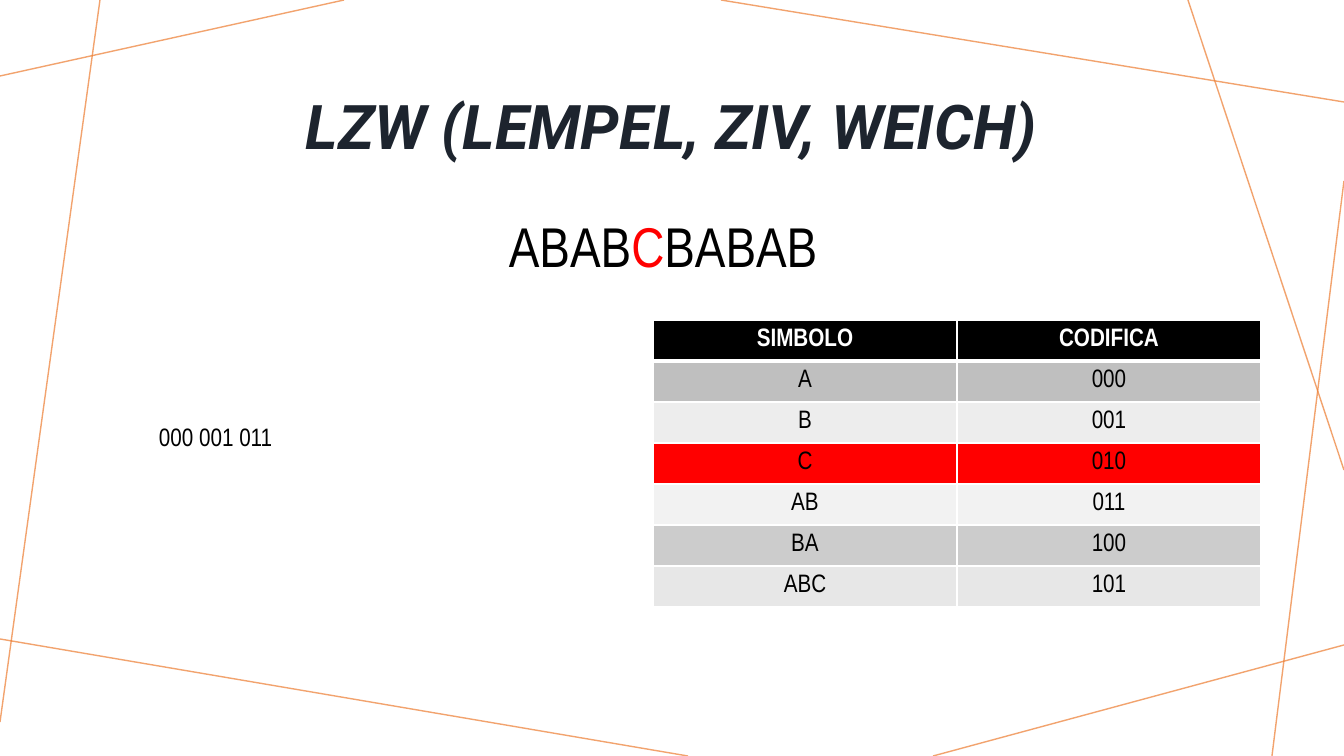
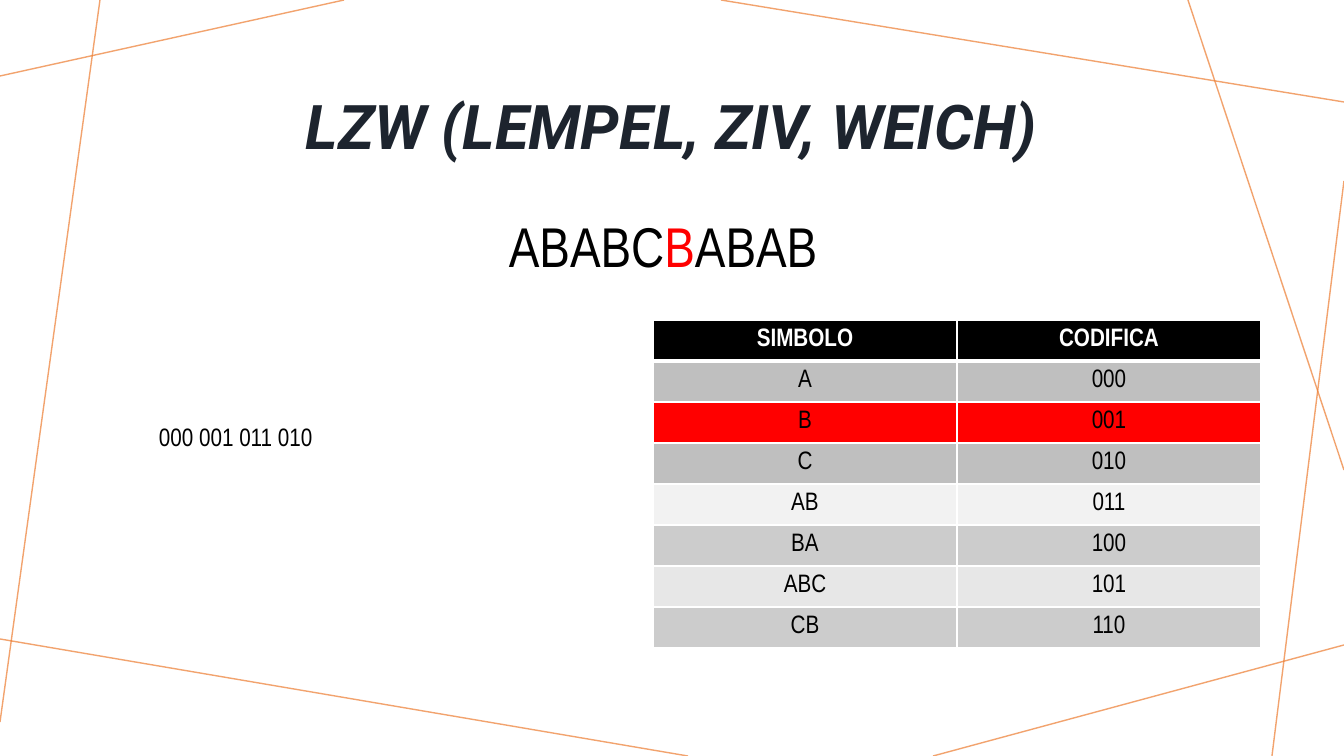
from typing import NamedTuple

from lxml.etree import SubElement
from pptx import Presentation
from pptx.dml.color import RGBColor
from pptx.enum.shapes import MSO_CONNECTOR
from pptx.enum.text import MSO_ANCHOR, PP_ALIGN
from pptx.oxml.ns import qn
from pptx.slide import Slide
from pptx.table import _Cell
from pptx.text.text import _Paragraph
from pptx.util import Emu, Pt

EMU_PER_PX = 914400 / 100.8
SLIDE_WIDTH, SLIDE_HEIGHT = 1344, 756

BLACK = RGBColor(0x00, 0x00, 0x00)
WHITE = RGBColor(0xFF, 0xFF, 0xFF)
RED = RGBColor(0xFF, 0x00, 0x00)
NAVY = RGBColor(0x1D, 0x24, 0x2E)
ORANGE = RGBColor(0xED, 0x7D, 0x31)
GREY = RGBColor(0xBF, 0xBF, 0xBF)
MID_GREY = RGBColor(0xCC, 0xCC, 0xCC)
LIGHT_GREY = RGBColor(0xE7, 0xE7, 0xE7)
PALE_GREY = RGBColor(0xED, 0xED, 0xED)
NEAR_WHITE = RGBColor(0xF2, 0xF2, 0xF2)

TITLE_FONT = "Roboto"
BODY_FONT = "Arial Narrow"
TITLE = "LZW (LEMPEL, ZIV, WEICH)"
SEQUENCE = "ABABCBABAB"

TABLE_LEFT, TABLE_TOP = 653, 320
COLUMN_WIDTH, ROW_HEIGHT = 304, 41


class Box(NamedTuple):
    left: int
    top: int
    width: int
    height: int


class Stroke(NamedTuple):
    x1: int
    y1: int
    x2: int
    y2: int


class Entry(NamedTuple):
    symbol: str
    code: str
    fill: RGBColor


class Step(NamedTuple):
    position: int  # index of the symbol being read
    output: str
    entry_count: int


TITLE_BOX = Box(126, 54, 1092, 152)
SEQUENCE_BOX = Box(499, 207, 347, 78)
OUTPUT_BOX = Box(149, 416, 504, 40)

STROKES = [
    Stroke(344, 0, 0, 76),
    Stroke(100, 0, 0, 722),
    Stroke(688, 756, 0, 639),
    Stroke(1344, 645, 933, 756),
    Stroke(1344, 181, 1272, 756),
    Stroke(1344, 470, 1188, 0),
    Stroke(1344, 102, 721, 0),
]

DICTIONARY = [
    Entry("A", "000", GREY),
    Entry("B", "001", PALE_GREY),
    Entry("C", "010", GREY),
    Entry("AB", "011", NEAR_WHITE),
    Entry("BA", "100", MID_GREY),
    Entry("ABC", "101", LIGHT_GREY),
    Entry("CB", "110", MID_GREY),
]

STEPS = [
    Step(4, "000 001 011", 6),
    Step(5, "000 001 011 010", 7),
]


def px(length: int) -> Emu:
    return Emu(round(length * EMU_PER_PX))


def style(paragraph: _Paragraph, name: str, size: int, color: RGBColor,
          bold: bool = False, italic: bool = False) -> None:
    font = paragraph.font
    font.name, font.size = name, Pt(size)
    font.bold, font.italic = bold, italic
    font.color.rgb = color


def add_text(slide: Slide, box: Box, text: str = "") -> _Paragraph:
    frame = slide.shapes.add_textbox(*map(px, box)).text_frame
    frame.word_wrap = True
    paragraph = frame.paragraphs[0]
    if text:
        paragraph.add_run().text = text
    return paragraph


def draw_background(slide: Slide) -> None:
    for stroke in STROKES:
        connector = slide.shapes.add_connector(
            MSO_CONNECTOR.STRAIGHT, *map(px, stroke))
        connector.line.width = Pt(1)
        connector.line.color.rgb = ORANGE
        properties = connector._element.spPr
        color = properties.find(".//" + qn("a:srgbClr"))
        SubElement(color, qn("a:alpha"), val="70000")
        SubElement(properties, qn("a:effectLst"))


def draw_title(slide: Slide) -> None:
    box = slide.shapes.add_textbox(*map(px, TITLE_BOX))
    frame = box.text_frame
    frame.word_wrap = True
    frame.vertical_anchor = MSO_ANCHOR.MIDDLE
    title = frame.paragraphs[0]
    title.add_run().text = TITLE
    title.alignment = PP_ALIGN.CENTER
    title.line_spacing = 0.9
    style(title, TITLE_FONT, 44, NAVY, bold=True, italic=True)


def draw_sequence(slide: Slide, position: int) -> None:
    sequence = add_text(slide, SEQUENCE_BOX)
    style(sequence, BODY_FONT, 40, BLACK)
    parts = [
        (SEQUENCE[:position], BLACK),
        (SEQUENCE[position], RED),
        (SEQUENCE[position + 1:], BLACK),
    ]
    for text, color in parts:
        run = sequence.add_run()
        run.text = text
        run.font.color.rgb = color


def set_borders(cell: _Cell, top: int, bottom: int) -> None:
    properties = cell._tc.get_or_add_tcPr()
    for side, width in (("L", 1), ("R", 1), ("T", top), ("B", bottom)):
        border = SubElement(properties, qn(f"a:ln{side}"), w=str(Pt(width)))
        fill = SubElement(border, qn("a:solidFill"))
        SubElement(fill, qn("a:srgbClr"), val=str(WHITE))


def draw_dictionary(slide: Slide, current: str, entry_count: int) -> None:
    rows = [Entry("SIMBOLO", "CODIFICA", BLACK), *DICTIONARY[:entry_count]]
    table = slide.shapes.add_table(
        len(rows), 2, px(TABLE_LEFT), px(TABLE_TOP),
        px(2 * COLUMN_WIDTH), px(len(rows) * ROW_HEIGHT)).table
    table.horz_banding = False
    for column in table.columns:
        column.width = px(COLUMN_WIDTH)
    for index, entry in enumerate(rows):
        table.rows[index].height = px(ROW_HEIGHT)
        header = index == 0
        for column, text in enumerate((entry.symbol, entry.code)):
            cell = table.cell(index, column)
            # The rule under the header is thicker than the others
            set_borders(cell, top=3 if index == 1 else 1,
                        bottom=3 if header else 1)
            cell.fill.solid()
            cell.fill.fore_color.rgb = (
                RED if entry.symbol == current else entry.fill)
            cell.vertical_anchor = MSO_ANCHOR.MIDDLE
            cell.text = text
            label = cell.text_frame.paragraphs[0]
            label.alignment = PP_ALIGN.CENTER
            style(label, BODY_FONT, 18, WHITE if header else BLACK, header)


def draw_step(slide: Slide, step: Step) -> None:
    draw_background(slide)
    draw_title(slide)
    draw_sequence(slide, step.position)
    draw_dictionary(slide, SEQUENCE[step.position], step.entry_count)
    output = add_text(slide, OUTPUT_BOX, step.output)
    style(output, BODY_FONT, 18, BLACK)


def main() -> None:
    deck = Presentation()
    deck.slide_width, deck.slide_height = px(SLIDE_WIDTH), px(SLIDE_HEIGHT)
    blank = deck.slide_layouts[6]
    for step in STEPS:
        draw_step(deck.slides.add_slide(blank), step)
    deck.save("out.pptx")


if __name__ == "__main__":
    main()
